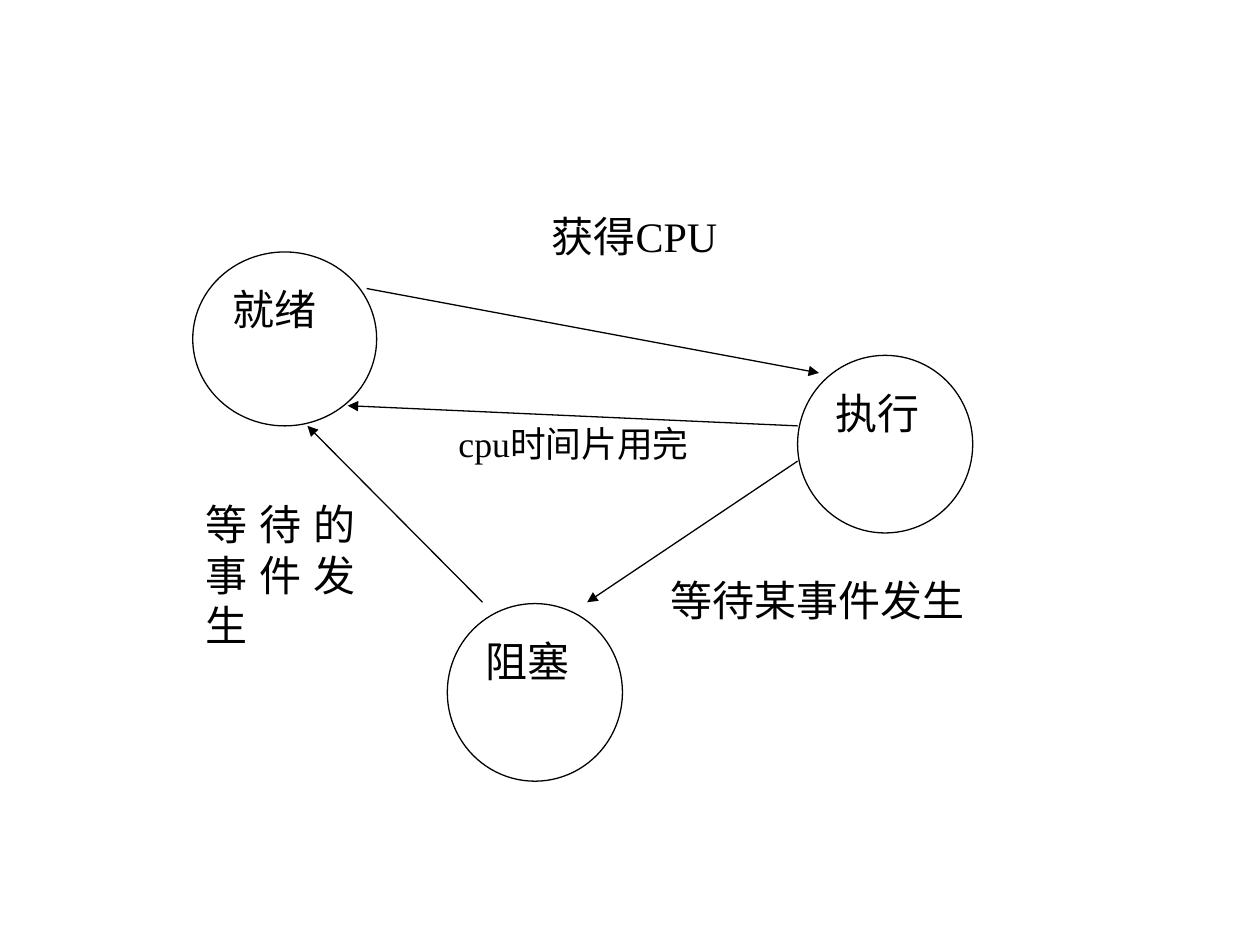
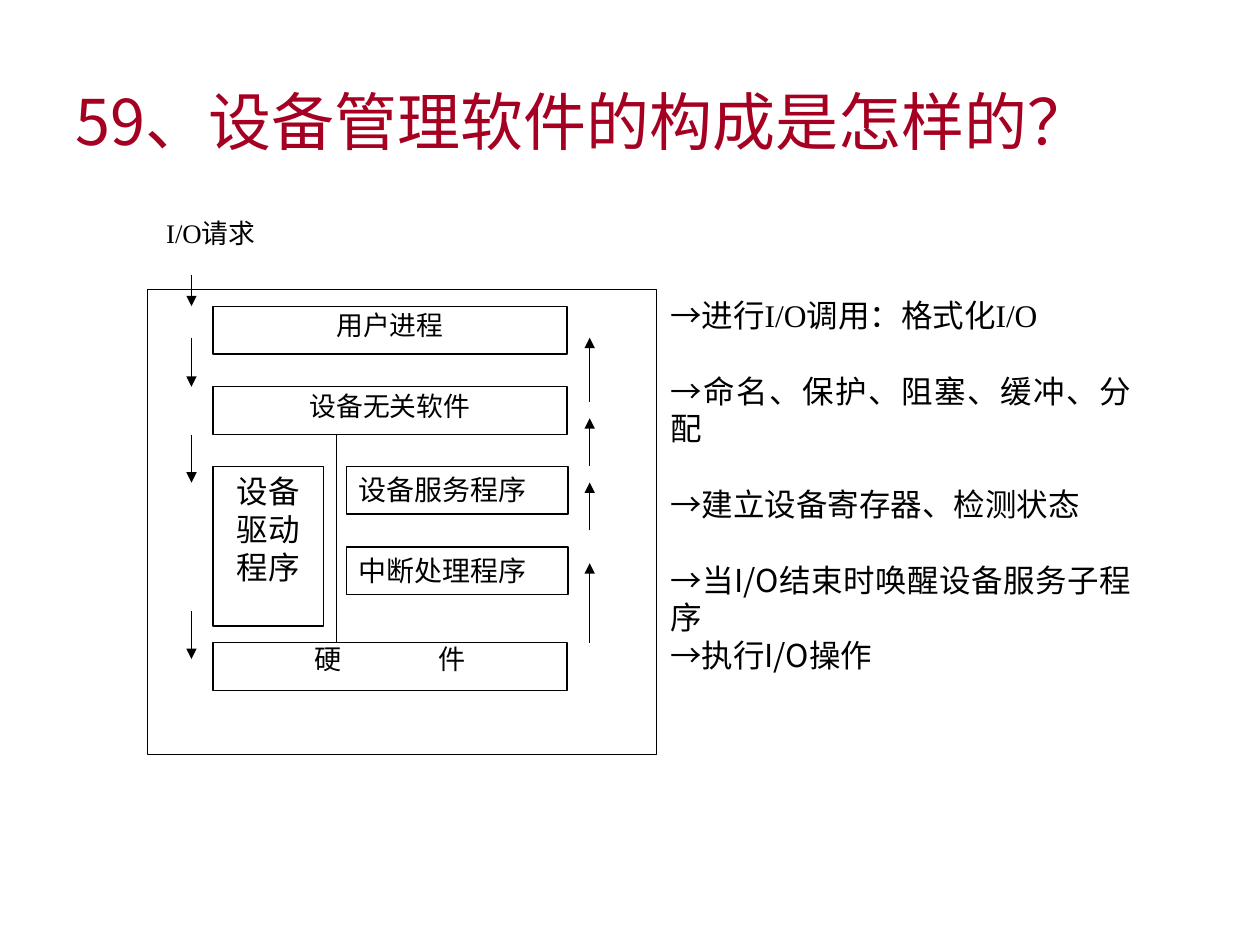
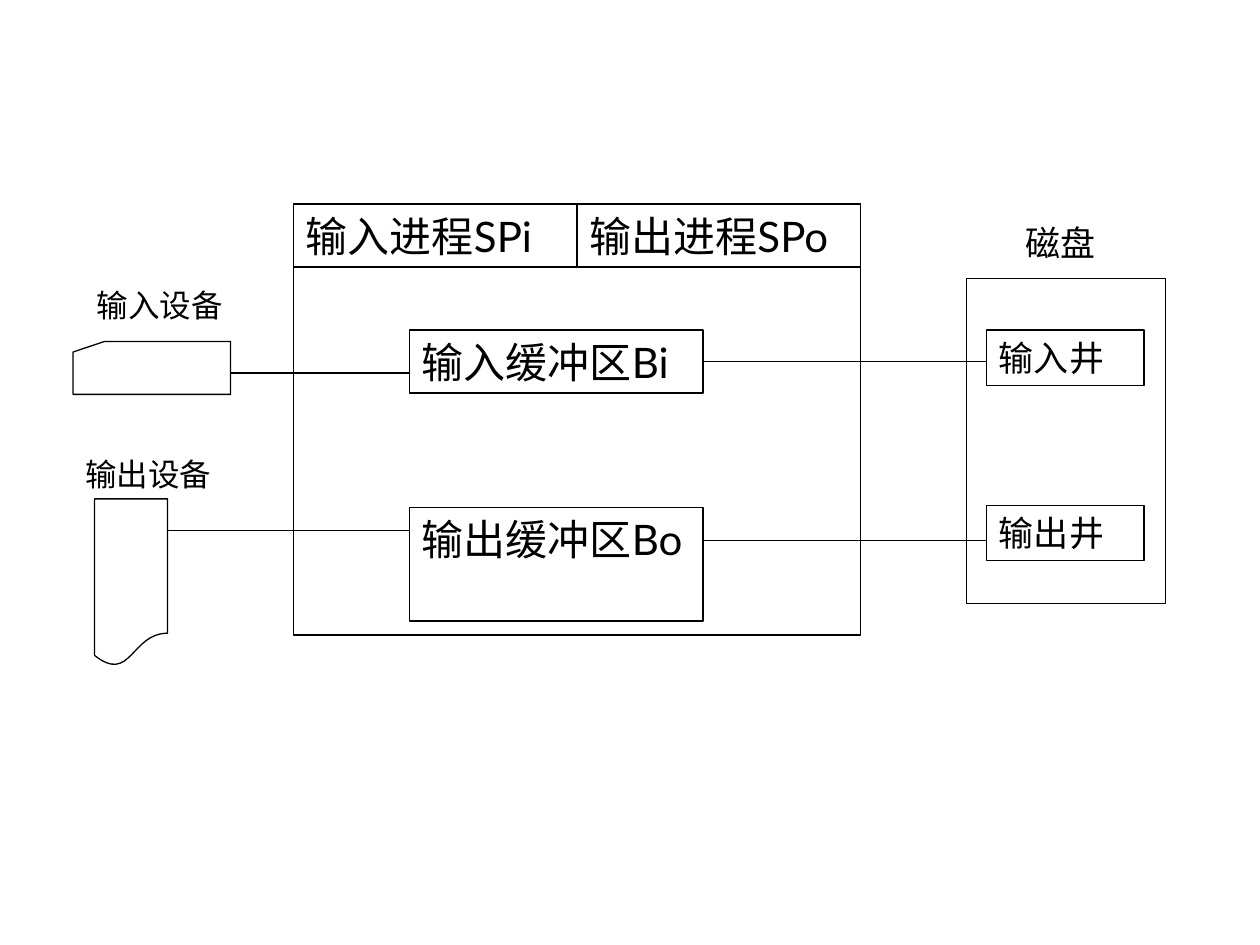
from lxml import etree
from pptx import Presentation
from pptx.dml.color import RGBColor
from pptx.enum.shapes import MSO_CONNECTOR, MSO_SHAPE
from pptx.enum.text import MSO_ANCHOR, PP_ALIGN
from pptx.oxml.ns import qn
from pptx.util import Inches, Pt

BLACK = RGBColor(0x00, 0x00, 0x00)
TITLE_RED = RGBColor(0xA5, 0x00, 0x21)

TIMES = "Times New Roman"
LATO = "Lato"
NOTO = "Noto Sans CJK SC"

LEFT, CENTER, JUSTIFY = PP_ALIGN.LEFT, PP_ALIGN.CENTER, PP_ALIGN.JUSTIFY
TOP, MIDDLE = MSO_ANCHOR.TOP, MSO_ANCHOR.MIDDLE
RECTANGLE, OVAL = MSO_SHAPE.RECTANGLE, MSO_SHAPE.OVAL
PUNCHED_CARD, DOCUMENT = MSO_SHAPE.FLOWCHART_CARD, MSO_SHAPE.FLOWCHART_DOCUMENT
STRAIGHT = MSO_CONNECTOR.STRAIGHT
LINE_WIDTH = Pt(0.75)


def add_box(slide, kind, at, paragraphs=(), size=24, align=JUSTIFY,
            spacing=1.0, color=BLACK, anchor=TOP):
    """Add an outlined shape, or a text box if kind is None.

    Each paragraph is a list of (font, text) runs.
    """
    place = [Inches(length) for length in at]
    if kind is None:
        shape = slide.shapes.add_textbox(*place)
    else:
        shape = slide.shapes.add_shape(kind, *place)
        shape.shadow.inherit = False
        shape.fill.background()
        shape.line.color.rgb = BLACK
        shape.line.width = LINE_WIDTH
    frame = shape.text_frame
    frame.word_wrap = True
    frame.vertical_anchor = anchor
    for index, runs in enumerate(paragraphs):
        paragraph = frame.add_paragraph() if index else frame.paragraphs[0]
        paragraph.alignment = align
        paragraph.line_spacing = spacing
        for font, text in runs:
            run = paragraph.add_run()
            run.text = text
            run.font.size = Pt(size)
            run.font.color.rgb = color
            run.font.name = font
            east_asian = etree.SubElement(run._r.get_or_add_rPr(), qn("a:ea"))
            east_asian.set("typeface", NOTO if font == NOTO else LATO)
    return shape


def add_line(slide, start, end, arrow=True):
    connector = slide.shapes.add_connector(
        STRAIGHT, *[Inches(length) for length in (*start, *end)])
    connector.line.color.rgb = BLACK
    connector.line.width = LINE_WIDTH
    if arrow:
        tail = etree.SubElement(connector.line._get_or_add_ln(), qn("a:tailEnd"))
        tail.set("type", "triangle")
    etree.SubElement(connector._element.spPr, qn("a:effectLst"))


presentation = Presentation()
presentation.slide_width = Inches(10)
presentation.slide_height = Inches(7.5)
blank_layout = presentation.slide_layouts[6]

# Slide 1: process states
slide = presentation.slides.add_slide(blank_layout)

for text, at in [
    ("就绪", (1.53, 2, 1.46, 1.38)),
    ("阻塞", (3.55, 4.79, 1.39, 1.41)),
    ("执行", (6.33, 2.82, 1.39, 1.41)),
]:
    add_box(slide, OVAL, at, [[(TIMES, text)]])

for text, at, size, spacing in [
    ("等待的事件发生", (1.53, 3.91, 1.39, 1.4), 24, 1.0),
    ("cpu时间片用完", (3.54, 3.34, 2.11, 0.76), 20.4, 0.9),
    ("获得CPU", (4.28, 1.62, 2.22, 0.84), 24, 1.0),
    ("等待某事件发生", (5.22, 4.51, 3.61, 0.84), 24, 1.0),
]:
    add_box(slide, None, at, [[(TIMES, text)]], size, spacing=spacing)

for start, end in [
    ((3.83, 4.78), (2.44, 3.38)),
    ((6.33, 3.66), (4.66, 4.78)),
    ((6.33, 3.38), (2.76, 3.22)),
    ((2.91, 2.29), (6.5, 2.96)),
]:
    add_line(slide, start, end)

# Slide 2: layers of device management software
slide = presentation.slides.add_slide(blank_layout)

add_box(slide, None, (0.5, 0.6, 9.23, 0.71),
        [[(NOTO, "59、设备管理软件的构成是怎样的？")]],
        36, LEFT, color=TITLE_RED, anchor=MIDDLE)
add_box(slide, None, (1.22, 1.7, 1.4, 0.38), [[(TIMES, "I/O请求")]], 15.3, spacing=0.9)
add_box(slide, RECTANGLE, (1.17, 2.3, 4.04, 3.69))

for text, at, size, align, spacing in [
    ("用户进程", (1.69, 2.43, 2.81, 0.38), 15.3, CENTER, 0.9),
    ("设备无关软件", (1.69, 3.07, 2.81, 0.38), 15.3, CENTER, 0.9),
    ("设备驱动程序", (1.69, 3.7, 0.88, 1.27), 18, CENTER, 1.0),
    ("设备服务程序", (2.75, 3.7, 1.76, 0.38), 16, JUSTIFY, 1.0),
    ("中断处理程序", (2.75, 4.34, 1.76, 0.38), 16, JUSTIFY, 1.0),
]:
    add_box(slide, RECTANGLE, at, [[(TIMES, text)]], size, align, spacing)

hardware = add_box(slide, RECTANGLE, (1.69, 5.1, 2.81, 0.38),
                   [[(TIMES, "硬"), (TIMES, "件")]], 15.5, CENTER, 0.8)
first_run = hardware.text_frame.paragraphs[0].runs[0]
first_run._r.get_or_add_rPr().set("spc", "5500")

duties = add_box(slide, None, (5.22, 2.3, 3.86, 3.69), [
    [(NOTO, "→"), (TIMES, "进行I/O调用：格式化I/O")],
    [(NOTO, "→命名、保护、阻塞、缓冲、分配")],
    [(NOTO, "→建立设备寄存器、检测状态")],
    [(NOTO, "→当I/O结束时唤醒设备服务子程序")],
    [(NOTO, "→执行I/O操作")],
], 18, spacing=Pt(21.6))
for paragraph in duties.text_frame.paragraphs[1:4]:
    paragraph.space_before = Pt(21.6)

REQUEST_X, REPLY_X, DIVIDER_X = 1.52, 4.68, 2.67
for x, top, bottom in [
    (REQUEST_X, 2.18, 2.43),
    (REQUEST_X, 2.68, 3.07),
    (REQUEST_X, 3.45, 3.83),
    (REQUEST_X, 4.85, 5.23),
    (REPLY_X, 5.1, 4.47),
    (REPLY_X, 4.21, 3.83),
    (REPLY_X, 3.7, 3.32),
    (REPLY_X, 3.19, 2.68),
    (DIVIDER_X, 3.45, 5.1),
]:
    add_line(slide, (x, top), (x, bottom), arrow=x != DIVIDER_X)

# Slide 3: spooling system
slide = presentation.slides.add_slide(blank_layout)

for kind, at in [
    (RECTANGLE, (2.33, 1.62, 4.5, 3.42)),
    (RECTANGLE, (7.67, 2.21, 1.58, 2.58)),
    (PUNCHED_CARD, (0.58, 2.71, 1.25, 0.42)),
    (DOCUMENT, (0.75, 3.96, 0.58, 1.33)),
]:
    add_box(slide, kind, at)

for kind, text, at, size, align in [
    (RECTANGLE, "输入进程SPi", (2.33, 1.62, 2.25, 0.5), 24, LEFT),
    (RECTANGLE, "输出进程SPo", (4.58, 1.62, 2.25, 0.5), 24, LEFT),
    (RECTANGLE, "输入缓冲区Bi", (3.25, 2.62, 2.33, 0.5), 24, LEFT),
    (RECTANGLE, "输出缓冲区Bo", (3.25, 4.03, 2.33, 0.9), 24, LEFT),
    (RECTANGLE, "输入井", (7.83, 2.62, 1.25, 0.44), 20, LEFT),
    (RECTANGLE, "输出井", (7.83, 4.01, 1.25, 0.44), 20, LEFT),
    (None, "输入设备", (0.67, 2.22, 1.33, 0.4), 18, LEFT),
    (None, "输出设备", (0.58, 3.56, 1.33, 0.4), 18, LEFT),
    (None, "磁盘", (7.75, 1.71, 1.33, 0.44), 20, CENTER),
]:
    add_box(slide, kind, at, [[(LATO, text)]], size, align)

for left, right, y in [
    (1.83, 3.25, 2.96),
    (1.33, 3.25, 4.21),
    (5.58, 7.83, 2.87),
    (5.58, 7.83, 4.29),
]:
    add_line(slide, (left, y), (right, y), arrow=False)

presentation.save("out.pptx")
